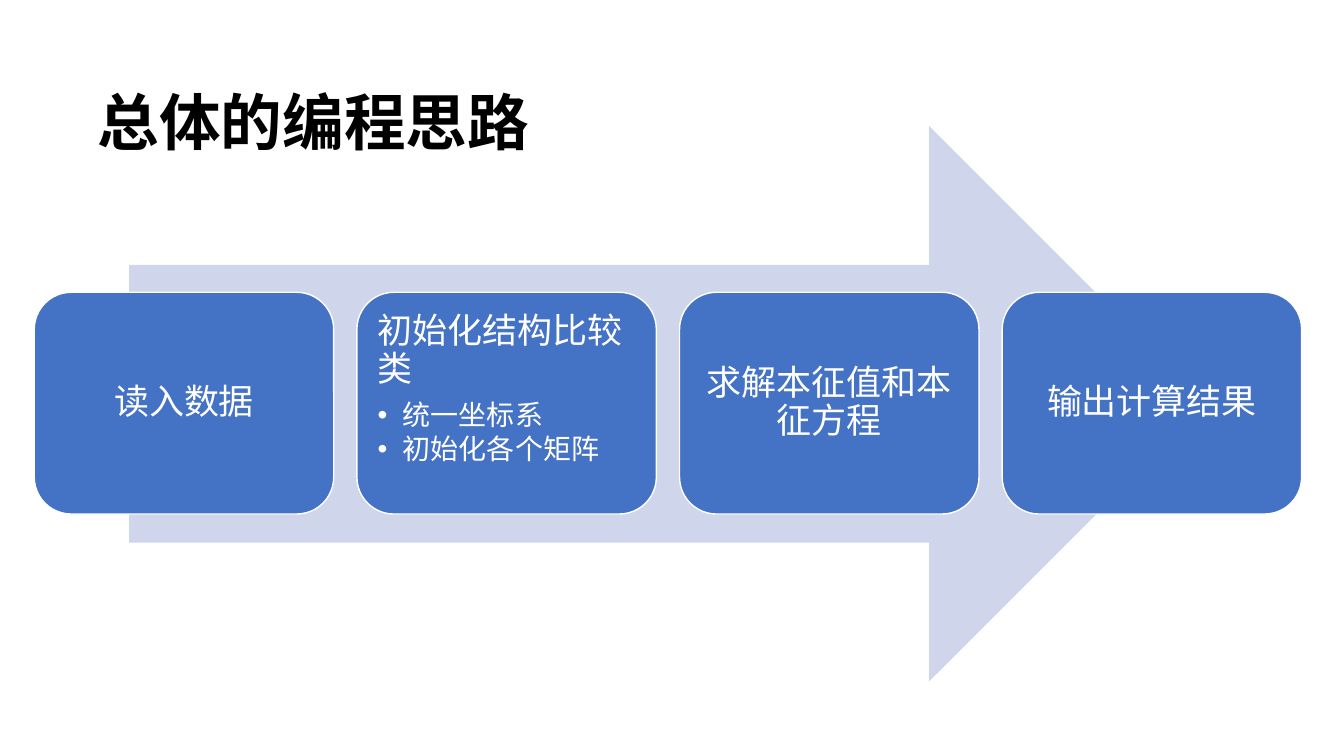
from lxml import etree
from pptx import Presentation
from pptx import util as u
from pptx.dml.color import RGBColor
from pptx.enum import shapes, text
from pptx.oxml.ns import qn

FONT = "Noto Sans CJK SC"
SLIDE_W, SLIDE_H = 13.33, 7.5
CARD_LEFT, CARD_TOP, CARD_W, CARD_H = 0.34, 2.9, 2.97, 2.2
CARD_PITCH = 3.2
BULLET_INDENT = 0.25

TITLE = "总体的编程思路"
STEPS = [
    ("读入数据", []),
    ("初始化结构比较类", ["统一坐标系", "初始化各个矩阵"]),
    ("求解本征值和本征方程", []),
    ("输出计算结果", []),
]


def color(hex_code):
    return RGBColor.from_string(hex_code)


def apply_format(target, values):
    for name, value in values.items():
        setattr(target, name, value)


def box(left, top, width, height):
    return [u.Inches(length) for length in (left, top, width, height)]


def add_shape(slide, kind, bounds, fill, line=None):
    shape = slide.shapes.add_shape(kind, *box(*bounds))
    shape.shadow.inherit = False
    shape.fill.solid()
    shape.fill.fore_color.rgb = color(fill)
    if line:
        shape.line.color.rgb = color(line)
        shape.line.width = u.Pt(1)
    else:
        shape.line.fill.background()
    return shape


def write(paragraph, words, size, ink, align, bold=False, after=0):
    apply_format(paragraph, {"alignment": align, "line_spacing": 0.9,
                             "space_before": u.Pt(0), "space_after": u.Pt(after)})
    run = paragraph.add_run()
    run.text = words
    apply_format(run.font, {"name": FONT, "size": u.Pt(size), "bold": bold})
    run.font.color.rgb = color(ink)
    etree.SubElement(run.font._element, qn("a:ea"), typeface=FONT)


def add_bullet(paragraph):
    paragraph.level = 1
    properties = paragraph._p.get_or_add_pPr()
    properties.set("marL", str(u.Inches(BULLET_INDENT)))
    properties.set("indent", str(-u.Inches(BULLET_INDENT)))
    etree.SubElement(properties, qn("a:buFont"), typeface="Arial")
    etree.SubElement(properties, qn("a:buChar"), char="•")


def add_title(slide):
    frame = slide.shapes.add_textbox(*box(0.87, 0.52, 11.5, 1.45)).text_frame
    apply_format(frame, {"word_wrap": True, "vertical_anchor": text.MSO_ANCHOR.MIDDLE})
    write(frame.paragraphs[0], TITLE, 44, "000000", text.PP_ALIGN.LEFT, bold=True)


def add_step(slide, column, heading, details):
    """Draw one step card; a card with details is set from its top left."""
    bounds = (CARD_LEFT + column * CARD_PITCH, CARD_TOP, CARD_W, CARD_H)
    card = add_shape(slide, shapes.MSO_SHAPE.ROUNDED_RECTANGLE, bounds, "4472C4", "FFFFFF")
    anchor = text.MSO_ANCHOR.TOP if details else text.MSO_ANCHOR.MIDDLE
    align = text.PP_ALIGN.LEFT if details else text.PP_ALIGN.CENTER
    frame = card.text_frame
    apply_format(frame, {"word_wrap": True, "vertical_anchor": anchor})
    apply_format(frame, {f"margin_{side}": u.Inches(0.1)
                         for side in ("left", "top", "right", "bottom")})
    write(frame.paragraphs[0], heading, 25, "FFFFFF", align, after=8.75)
    for detail in details:
        paragraph = frame.add_paragraph()
        write(paragraph, detail, 20, "FFFFFF", align, after=3)
        add_bullet(paragraph)


def main():
    deck = Presentation()
    apply_format(deck, {"slide_width": u.Inches(SLIDE_W), "slide_height": u.Inches(SLIDE_H)})
    slide = deck.slides.add_slide(deck.slide_layouts[6])
    add_title(slide)
    add_shape(slide, shapes.MSO_SHAPE.RIGHT_ARROW, (1.28, 1.25, 10.69, 5.51), "CFD5EA")
    for column, (heading, details) in enumerate(STEPS):
        add_step(slide, column, heading, details)
    deck.save("out.pptx")


if __name__ == "__main__":
    main()
